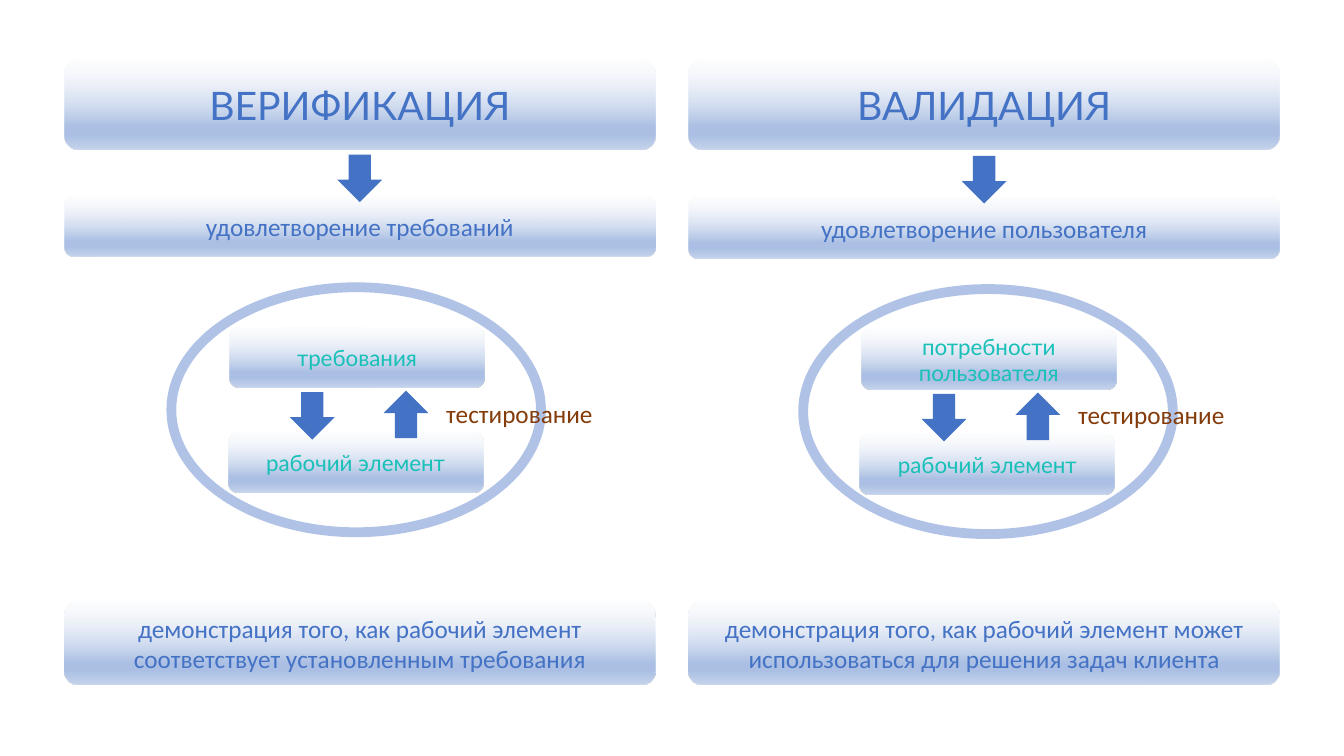
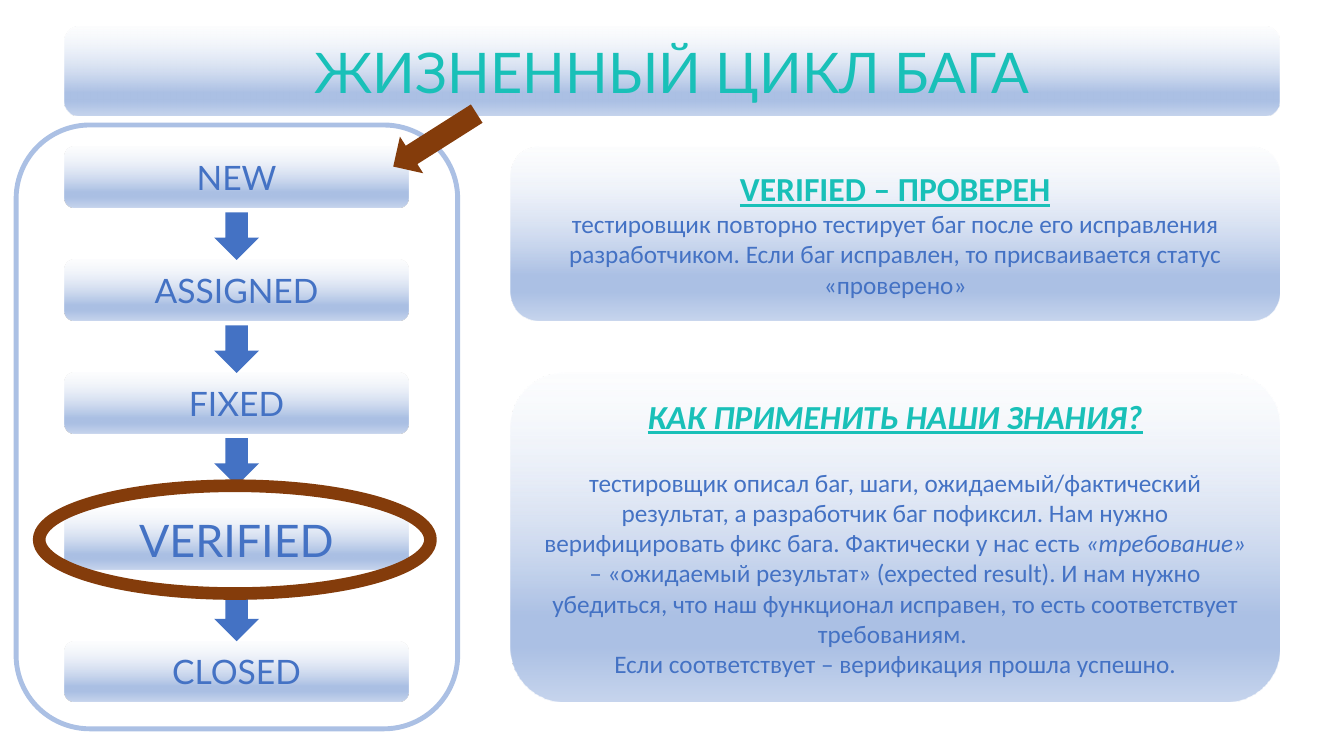
"""Build two slides on verification, validation and the life cycle of a bug."""
from lxml import etree
from pptx import Presentation
from pptx.dml.color import RGBColor
from pptx.enum import shapes, text
from pptx.oxml import ns
from pptx.util import Pt

COLORS = {"blue": "4472C4", "teal": "19C0B8", "brown": "843C0B", "pale": "ABC0E4",
          "top": "F6F8FC", "bottom": "C7D5ED", "aqua": "00FFDC"}
GRADIENT = [(0, "top", 24), (74, "pale", 100), (83, "pale", 100), (100, "bottom", 100)]
SHAPE = shapes.MSO_SHAPE

COLUMNS = [
    {"title": "ВЕРИФИКАЦИЯ", "goal": "удовлетворение требований", "basis": "требования",
     "result": "демонстрация того, как рабочий элемент соответствует установленным требования",
     "goal_top": 140.4},
    {"title": "ВАЛИДАЦИЯ", "goal": "удовлетворение пользователя", "basis": "потребности пользователя",
     "result": "демонстрация того, как рабочий элемент может использоваться для решения задач клиента",
     "goal_top": 141.4},
]
COLUMN_LEFT, COLUMN_WIDTH, COLUMN_STEP = 46, 422, 446
CYCLE_STEP = (451.3, 1.3)
ARROW_WIDTH, ARROW_HEIGHT = 32, 34

STATES = [("NEW", 105), ("ASSIGNED", 185.7), ("FIXED", 266.4), ("VERIFIED", 363.6), ("CLOSED", 458)]
STATE_WIDTH, STATE_HEIGHT = 246, 43
RING = (28, 347, 279.5, 77)

HEADING = {"size": 24, "color": "teal", "bold": True, "underline": True, "outline": "blue"}
EXPLANATIONS = [
    ((365, 105, 549, 124), [
        ([("VERIFIED – ПРОВЕРЕН", HEADING)], 0),
        ([("тестировщик повторно тестирует баг после его исправления разработчиком. "
           "Если баг исправлен, то присваивается статус «проверено»", {})], 0),
    ]),
    ((365, 266.4, 549, 234.7), [
        ([("КАК ПРИМЕНИТЬ НАШИ ЗНАНИЯ?", {**HEADING, "italic": True})], 0),
        ([("тестировщик описал баг, шаги, ожидаемый/фактический результат, а разработчик баг "
           "пофиксил. Нам нужно верифицировать фикс бага. Фактически у нас есть ", {}),
          ("«требование»", {"italic": True}),
          (" – «ожидаемый результат» (expected result). И нам нужно убедиться, что наш "
           "функционал исправен, то есть соответствует требованиям. ", {})], 22),
        ([("Если соответствует – верификация прошла успешно.", {})], 0),
    ]),
]


def rgb(name):
    return RGBColor.from_string(COLORS[name])


def add_xml(parent, tag, **attributes):
    return etree.SubElement(parent, ns.qn(tag), attributes)


def add_color(parent, name, opacity=100):
    color = add_xml(parent, "a:srgbClr", val=COLORS[name])
    if opacity < 100:
        add_xml(color, "a:alpha", val=str(opacity * 1000))


def add_run(paragraph, content, size=18, font="Calibri", color="blue", bold=False,
            italic=False, underline=False, outline=None):
    run = paragraph.add_run()
    run.text = content
    run.font.size, run.font.name = Pt(size), font
    run.font.bold, run.font.italic, run.font.underline = bold, italic, underline
    run.font.color.rgb = rgb(color)
    if outline:
        properties = run.font._element
        line = add_xml(properties, "a:ln", w=str(Pt(0.75)))
        add_color(add_xml(line, "a:solidFill"), outline)
        properties.insert(0, line)


def write(shape, paragraphs):
    frame = shape.text_frame
    frame.word_wrap = True
    frame.vertical_anchor = text.MSO_ANCHOR.MIDDLE
    for index, (runs, space) in enumerate(paragraphs):
        paragraph = frame.add_paragraph() if index else frame.paragraphs[0]
        paragraph.alignment = text.PP_ALIGN.CENTER
        paragraph.space_before = Pt(space)
        for content, style in runs:
            add_run(paragraph, content, **style)


def add_figure(slide, kind, at, fill=None, line=None, width=0, opacity=100, rotation=0):
    shape = slide.shapes.add_shape(kind, *map(Pt, at))
    shape.shadow.inherit = False
    shape.rotation = rotation
    if fill:
        shape.fill.solid()
        shape.fill.fore_color.rgb = rgb(fill)
    else:
        shape.fill.background()
    if line:
        shape.line.color.rgb = rgb(line)
        shape.line.width = Pt(width)
        if opacity < 100:
            color = shape.line._ln.find(".//" + ns.qn("a:srgbClr"))
            add_xml(color, "a:alpha", val=str(opacity * 1000))
    else:
        shape.line.fill.background()
    return shape


def add_panel(slide, at, paragraphs):
    shape = add_figure(slide, SHAPE.ROUNDED_RECTANGLE, at)
    shape.fill.gradient()
    shape.fill.gradient_angle = 270
    stops = shape._element.spPr.find(".//" + ns.qn("a:gsLst"))
    for stop in list(stops):
        stops.remove(stop)
    for position, color, opacity in GRADIENT:
        add_color(add_xml(stops, "a:gs", pos=str(position * 1000)), color, opacity)
    write(shape, paragraphs)


def add_label_panel(slide, at, content, **style):
    add_panel(slide, at, [([(content, style)], 0)])


def add_arrow(slide, left, top, rotation=0):
    add_figure(slide, SHAPE.DOWN_ARROW, (left, top, ARROW_WIDTH, ARROW_HEIGHT),
               fill="blue", rotation=rotation)


def add_cycle(slide, basis, dx, dy):
    small = {"size": 16, "font": "Lato", "color": "teal", "outline": "blue"}
    add_label_panel(slide, (163 + dx, 309 + dy, 182, 43), "рабочий элемент", **small)
    add_label_panel(slide, (164 + dx, 234 + dy, 182, 43), basis, **small)
    add_figure(slide, SHAPE.OVAL, (122.4 + dx, 205.2 + dy, 264, 175),
               line="blue", width=7, opacity=41)
    add_arrow(slide, 207 + dx, 280 + dy)
    add_arrow(slide, 274 + dx, 279 + dy, rotation=180)
    label = slide.shapes.add_textbox(*map(Pt, (280 + dx, 273.5 + dy, 182, 43)))
    write(label, [([("тестирование", {"color": "brown", "outline": "blue"})], 0)])


def build_comparison(slide):
    for index, column in enumerate(COLUMNS):
        left = COLUMN_LEFT + index * COLUMN_STEP
        add_label_panel(slide, (left, 43, COLUMN_WIDTH, 63.4), column["title"], size=28, font="Lato")
        add_label_panel(slide, (left, column["goal_top"], COLUMN_WIDTH, 43), column["goal"])
        add_label_panel(slide, (left, 430, COLUMN_WIDTH, 58.7), column["result"])
        add_cycle(slide, column["basis"], *(index * step for step in CYCLE_STEP))
        add_arrow(slide, left + (COLUMN_WIDTH - ARROW_WIDTH) / 2, column["goal_top"] - 30)


def build_life_cycle(slide):
    add_figure(slide, SHAPE.ROUNDED_RECTANGLE, (11.5, 89.3, 315.4, 431.3), line="pale", width=3.5)
    add_label_panel(slide, (COLUMN_LEFT, 19.4, 868, 63.4), "ЖИЗНЕННЫЙ ЦИКЛ БАГА",
                    size=40, font="Lato", color="teal", outline="blue")
    for at, paragraphs in EXPLANATIONS:
        add_panel(slide, at, paragraphs)
    for index, (name, top) in enumerate(STATES):
        ringed = name == "VERIFIED"
        emphasis = {"size": 32, "outline": "aqua"} if ringed else {"size": 24}
        add_label_panel(slide, (COLUMN_LEFT, top, STATE_WIDTH, STATE_HEIGHT), name,
                        font="Lato", **emphasis)
        if index:
            target = RING[1] if ringed else top
            add_arrow(slide, COLUMN_LEFT + (STATE_WIDTH - ARROW_WIDTH) / 2, target - ARROW_HEIGHT)
    add_figure(slide, SHAPE.OVAL, RING, line="brown", width=9)
    add_figure(slide, SHAPE.DOWN_ARROW, (295.2, 64.8, 31, 70.6), fill="brown", rotation=57.6)


def main():
    presentation = Presentation()
    presentation.slide_width, presentation.slide_height = Pt(960), Pt(540)
    for build in (build_comparison, build_life_cycle):
        build(presentation.slides.add_slide(presentation.slide_layouts[6]))
    presentation.save("out.pptx")


if __name__ == "__main__":
    main()
